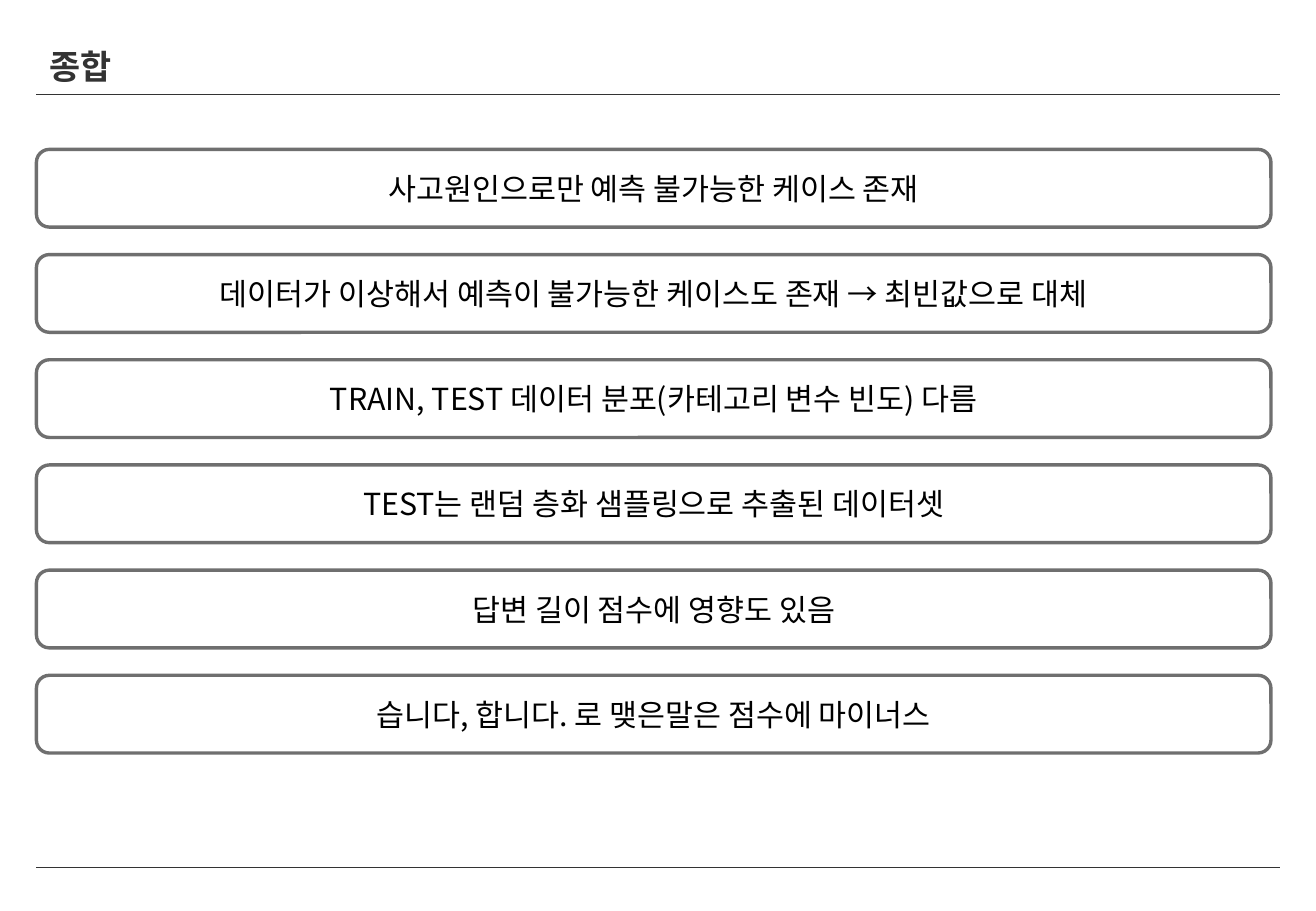
from dataclasses import dataclass

from lxml import etree
from pptx import Presentation
from pptx import util as u
from pptx.dml.color import RGBColor
from pptx.enum import shapes, text
from pptx.oxml import ns


@dataclass(frozen=True)
class Theme:
    font: str = "Noto Sans CJK KR"
    dark: str = "333333"
    ink: str = "000000"
    edge: str = "6F6F6F"
    head: int = 20
    body: int = 18
    thin: float = 0.5
    thick: float = 2


@dataclass(frozen=True)
class Grid:
    wide: float = 10.83
    high: float = 7.5
    left: float = 0.3
    top: float = 1.23
    col: float = 10.16
    row: float = 0.64
    step: float = 0.866


@dataclass(frozen=True)
class Point:
    row: int
    words: str


@dataclass(frozen=True)
class Rule:
    y: float
    start: float = 0.3
    end: float = 10.53


THEME = Theme()
GRID = Grid()
RULES = [Rule(7.14), Rule(0.78)]
POINTS = [Point(row, words) for row, words in enumerate([
    "사고원인으로만 예측 불가능한 케이스 존재",
    "데이터가 이상해서 예측이 불가능한 케이스도 존재 → 최빈값으로 대체",
    "TRAIN, TEST 데이터 분포(카테고리 변수 빈도) 다름",
    "TEST는 랜덤 층화 샘플링으로 추출된 데이터셋",
    "답변 길이 점수에 영향도 있음",
    "습니다, 합니다. 로 맺은말은 점수에 마이너스",
])]


def write(frame, words: str, size: int, tint: str, bold: bool, align) -> None:
    frame.word_wrap = True
    frame.auto_size = text.MSO_AUTO_SIZE.NONE
    frame.vertical_anchor = text.MSO_ANCHOR.MIDDLE
    para = frame.paragraphs[0]
    para.alignment = align
    run = para.add_run()
    run.text = words
    run.font.size = u.Pt(size)
    run.font.bold = bold
    run.font.color.rgb = RGBColor.from_string(tint)
    run.font.name = THEME.font
    props = run._r.get_or_add_rPr()
    etree.SubElement(props, ns.qn("a:ea"), typeface=THEME.font)


def draw_rule(slide, rule: Rule) -> None:
    line = slide.shapes.add_connector(
        shapes.MSO_CONNECTOR.STRAIGHT,
        u.Inches(rule.start), u.Inches(rule.y),
        u.Inches(rule.end), u.Inches(rule.y))
    line.line.color.rgb = RGBColor.from_string(THEME.dark)
    line.line.width = u.Pt(THEME.thin)
    etree.SubElement(line._element.spPr, ns.qn("a:effectLst"))


def draw_title(slide, words: str) -> None:
    title = slide.shapes.title
    title.left, title.top = u.Inches(0.31), u.Inches(0.41)
    title.width, title.height = u.Inches(8.89), u.Inches(0.27)
    frame = title.text_frame
    frame.margin_top = frame.margin_bottom = 0
    write(frame, words, THEME.head, THEME.dark, True, text.PP_ALIGN.LEFT)


def draw_point(slide, point: Point) -> None:
    box = slide.shapes.add_shape(
        shapes.MSO_SHAPE.ROUNDED_RECTANGLE,
        u.Inches(GRID.left), u.Inches(GRID.top + point.row * GRID.step),
        u.Inches(GRID.col), u.Inches(GRID.row))
    box.shadow.inherit = False
    box.fill.background()
    box.line.color.rgb = RGBColor.from_string(THEME.edge)
    box.line.width = u.Pt(THEME.thick)
    write(box.text_frame, point.words, THEME.body, THEME.ink, False,
          text.PP_ALIGN.CENTER)


def main() -> None:
    deck = Presentation()
    deck.slide_width = u.Inches(GRID.wide)
    deck.slide_height = u.Inches(GRID.high)
    slide = deck.slides.add_slide(deck.slide_layouts.get_by_name("Title Only"))
    for rule in RULES:
        draw_rule(slide, rule)
    draw_title(slide, "종합")
    for point in POINTS:
        draw_point(slide, point)
    deck.save("out.pptx")


if __name__ == "__main__":
    main()
